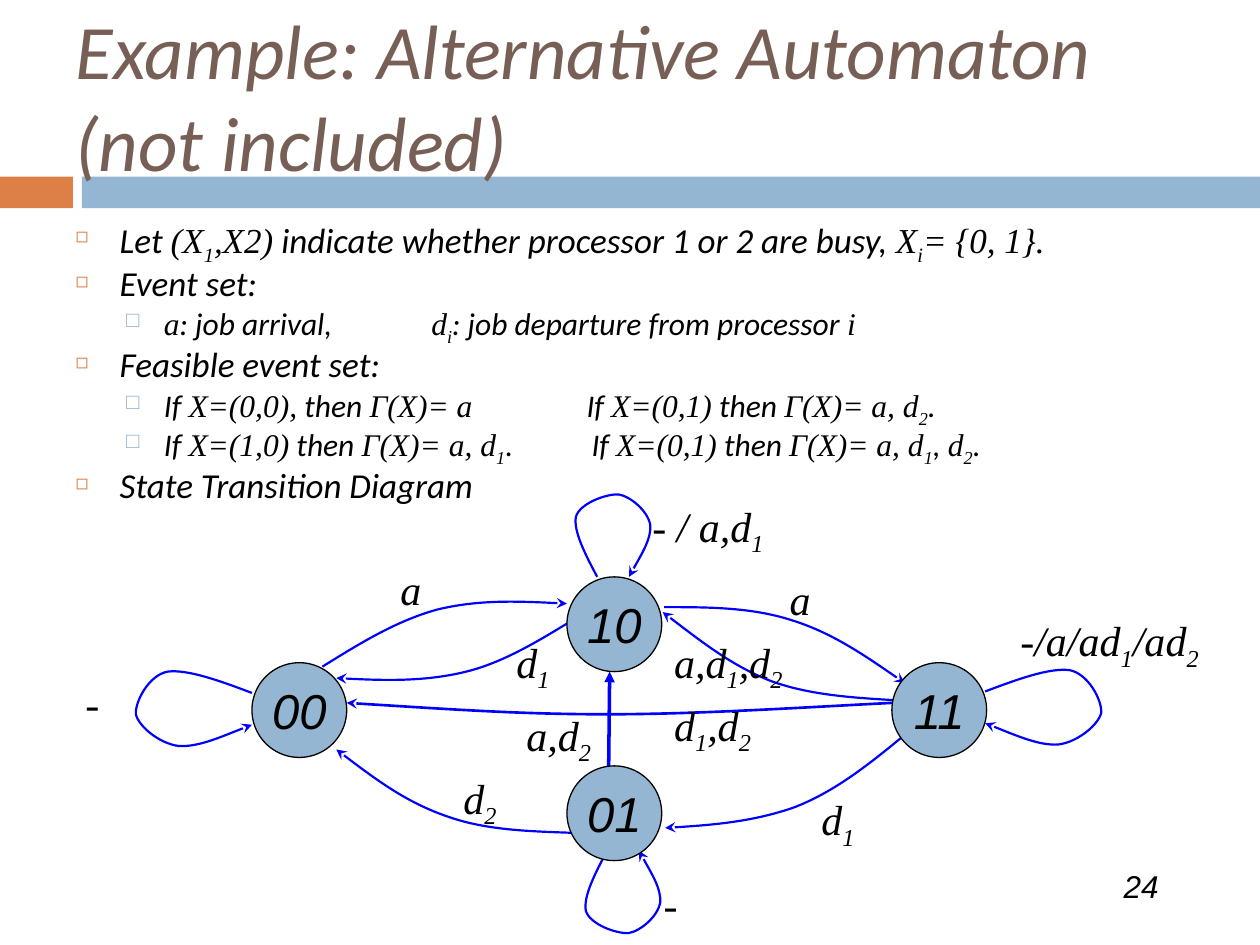
from itertools import cycle

from lxml import etree
from pptx import Presentation
from pptx.dml.color import RGBColor
from pptx.enum import shapes, text
from pptx.oxml.ns import qn
from pptx.util import Cm, Pt

SERIF, SANS, LABEL = "Times New Roman", "Calibri", "Arial"
BLACK, BLUE, ORANGE, BROWN, ARROW = "000000", "94B6D2", "DD8047", "775F55", "0000FF"
color = RGBColor.from_string


def add_runs(paragraph, markup, size, fonts):
    """Each | moves to the next font; text between underscores is subscript."""
    paragraph.font.size = Pt(size)
    paragraph.font.italic = True
    paragraph.font.color.rgb = color(BLACK)
    for font, part in zip(cycle(fonts), markup.split("|")):
        for index, piece in enumerate(part.split("_")):
            if piece:
                run = paragraph.add_run()
                run.text = piece
                run.font.name = font
                if index % 2:
                    run.font._element.set("baseline", "-25000")


def finish_arrow(shape, width, head):
    """Colour the line, put a head on its end and drop the shadow."""
    shape.line.color.rgb = color(ARROW)
    shape.line.width = Pt(width)
    etree.SubElement(shape.line._get_or_add_ln(), qn("a:tailEnd"), type=head)
    etree.SubElement(shape._element.spPr, qn("a:effectLst"))


presentation = Presentation()
presentation.slide_width, presentation.slide_height = Cm(25.4), Cm(19.05)
slide = presentation.slides.add_slide(presentation.slide_layouts[1])

# Accent bars behind the title
for left, width, fill in [(0, 1.47, ORANGE), (1.65, 23.75, BLUE)]:
    bar = slide.shapes.add_shape(shapes.MSO_SHAPE.RECTANGLE, Cm(left), Cm(3.56), Cm(width), Cm(0.64))
    bar.shadow.inherit = False
    bar.fill.solid()
    bar.fill.fore_color.rgb = color(fill)
    bar.line.fill.background()
    bar._element.getparent().insert(2, bar._element)

title = slide.shapes.title
title.left, title.top, title.width, title.height = Cm(1.27), Cm(0), Cm(22.86), Cm(3.81)
title.text_frame.text = "Example: Alternative Automaton\v(not included)"
title.text_frame.auto_size = text.MSO_AUTO_SIZE.NONE
title.text_frame.vertical_anchor = text.MSO_ANCHOR.MIDDLE
paragraph = title.text_frame.paragraphs[0]
paragraph.alignment = text.PP_ALIGN.LEFT
paragraph.font.size = Pt(44)
paragraph.font.name = SANS
paragraph.font.italic = True
paragraph.font.color.rgb = color(BROWN)

# Bulleted list: level, tab stop in cm, text
items = [
    (0, None, "Let |(X_1_,X2)| indicate whether processor 1 or 2 are busy, |X_i_= {0, 1}."),
    (0, None, "Event set:"),
    (1, 7.17, "|a|: job arrival,\t|d_i_|: job departure from processor |i"),
    (0, None, "Feasible event set:"),
    (1, 10.3, "If |X=(0,0),| then |Γ(X)= a|\tIf |X=(0,1)| then |Γ(Χ)= a, d_2_|."),
    (1, 10.4, "If |X=(1,0)| then |Γ(Χ)= a, d_1_|.\tIf |X=(0,1)| then |Γ(Χ)= a, d_1_|, |d_2_|."),
    (0, None, "State Transition Diagram"),
]
# Per level: left margin, hanging indent, space before, bullet, its colour and size, text size
levels = [(0.89, 0.89, 7, "◻", ORANGE, 60, 20), (1.78, 0.76, 5.5, "□", BLUE, 70, 18)]
body = slide.placeholders[1]
body.left, body.top, body.width, body.height = Cm(1.27), Cm(4.45), Cm(22.86), Cm(5.92)
body.text_frame.auto_size = text.MSO_AUTO_SIZE.NONE
for index, (level, tab, markup) in enumerate(items):
    margin, hanging, before, bullet, bullet_color, percent, size = levels[level]
    paragraph = body.text_frame.add_paragraph() if index else body.text_frame.paragraphs[0]
    paragraph.level = level
    paragraph.line_spacing = 0.7
    paragraph.space_before = Pt(before if index else 0)
    properties = paragraph._p.get_or_add_pPr()
    properties.set("marL", str(Cm(margin)))
    properties.set("indent", str(-Cm(hanging)))
    bullet_fill = etree.SubElement(properties, qn("a:buClr"))
    etree.SubElement(bullet_fill, qn("a:srgbClr"), val=bullet_color)
    etree.SubElement(properties, qn("a:buSzPct"), val=str(percent * 1000))
    etree.SubElement(properties, qn("a:buChar"), char=bullet)
    if tab:
        tabs = etree.SubElement(properties, qn("a:tabLst"))
        etree.SubElement(tabs, qn("a:tab"), pos=str(Cm(tab)), algn="l")
    add_runs(paragraph, markup, size, (SANS, SERIF))

# Transitions between states: start point, then three points per Bezier curve
transitions = [
    [(6.5, 13.44), (7.24, 12.98), (7.98, 12.52), (8.81, 12.29), (9.63, 12.09), (10.52, 12.12), (11.43, 12.17)],
    [(13.39, 12.24), (14.27, 12.24), (15.14, 12.24), (15.95, 12.5), (16.76, 12.75), (17.5, 13.26), (18.24, 13.77)],
    [(11.56, 16.79), (10.69, 16.76), (9.8, 16.74), (9.02, 16.46), (8.2, 16.18), (7.49, 15.65), (6.78, 15.11)],
    [(18.16, 14.88), (17.48, 15.44), (16.79, 15.98), (16, 16.28), (15.19, 16.56), (14.3, 16.64), (13.41, 16.69)],
    [(11.71, 12.4), (10.97, 12.85), (10.21, 13.34), (9.4, 13.54), (8.59, 13.74), (7.67, 13.72), (6.78, 13.67)],
    [(18.11, 14.12), (17.25, 14.07), (16.36, 14.02), (15.57, 13.74), (14.78, 13.44), (14.07, 12.88), (13.36, 12.34)],
    [(17.98, 14.17), (16.03, 14.27), (14.05, 14.4), (12.22, 14.4), (10.36, 14.4), (8.69, 14.27), (6.99, 14.17)],
]
widths = [1.25] * 6 + [1.5]

# Self-loops share one outline, given as (outward, sideways) from the anchor
loop = [(0, 0), (0.66, -0.25), (1.3, -0.48), (1.7, -0.43), (2.08, -0.36), (2.36, 0.18), (2.34, 0.43),
        (2.29, 0.66), (1.88, 1.02), (1.47, 1.07), (1.09, 1.09), (0.56, 0.86), (0, 0.64)]
for x, y, out_x, out_y in [(5.08, 13.97, -1, 0), (19.86, 13.94, 1, 0), (12.04, 11.63, 0, -0.71), (12.24, 17.15, 0, 0.71)]:
    side_x, side_y = (0, 1) if out_x else (1, 0)
    transitions.append([(x + out * out_x + side * side_x, y + out * out_y + side * side_y) for out, side in loop])
    widths.append(1.25)

for points, width in zip(transitions, widths):
    start, *rest = [(Cm(x), Cm(y)) for x, y in points]
    builder = slide.shapes.build_freeform(*start)
    builder.add_line_segments(rest, close=False)
    curve = builder.convert_to_shape()
    outline = curve._element.find(".//" + qn("a:path"))
    segments = outline.findall(qn("a:lnTo"))
    for first in range(0, len(segments), 3):
        bezier = etree.SubElement(outline, qn("a:cubicBezTo"))
        for segment in segments[first:first + 3]:
            bezier.append(segment[0])
            outline.remove(segment)
    curve.fill.background()
    finish_arrow(curve, width, "stealth")

upward = slide.shapes.add_connector(shapes.MSO_CONNECTOR.STRAIGHT, Cm(12.27), Cm(15.47), Cm(12.29), Cm(13.54))
finish_arrow(upward, 2, "triangle")

# Event labels and the slide number
labels = [
    (7.82, 11.23, 2.74, "a"), (12.9, 9.96, 3.18, "- / a,d_1_"), (15.67, 11.43, 2.74, "a"),
    (1.47, 13.54, 2.74, "-"), (9.09, 15.44, 3.81, "d_2_"), (16.31, 15.88, 4.01, "d_1_"),
    (13.34, 13.97, 2.74, "d_1_,d_2_"), (20.32, 12.27, 5.08, "-/a/ad_1_/ad_2_"),
    (13.13, 17.58, 1.07, "-"), (10.16, 12.7, 3.81, "d_1_"), (10.36, 14.17, 2.34, "a,d_2_"),
    (13.34, 12.7, 4.01, "a,d_1_,d_2_"), (22.4, 17.35, 2.9, "24"),
]
for left, top, width, markup in labels:
    is_number = markup.isdigit()
    box = slide.shapes.add_textbox(Cm(left), Cm(top), Cm(width), Cm(1.02 if is_number else 1.42))
    box.text_frame.word_wrap = True
    add_runs(box.text_frame.paragraphs[0], markup, 18 if is_number else 24, [LABEL if is_number else SERIF])

for left, top, name in [(5.08, 13.36, "00"), (11.43, 11.63, "10"), (17.98, 13.36, "11"), (11.43, 15.44, "01")]:
    state = slide.shapes.add_shape(shapes.MSO_SHAPE.OVAL, Cm(left), Cm(top), Cm(1.91), Cm(1.91))
    state.shadow.inherit = False
    state.fill.solid()
    state.fill.fore_color.rgb = color(BLUE)
    state.line.color.rgb = color(BLACK)
    state.line.width = Pt(0.75)
    state.text_frame.word_wrap = False
    state.text_frame.vertical_anchor = text.MSO_ANCHOR.MIDDLE
    paragraph = state.text_frame.paragraphs[0]
    paragraph.alignment = text.PP_ALIGN.CENTER
    add_runs(paragraph, name, 28, [LABEL])

presentation.save("out.pptx")
